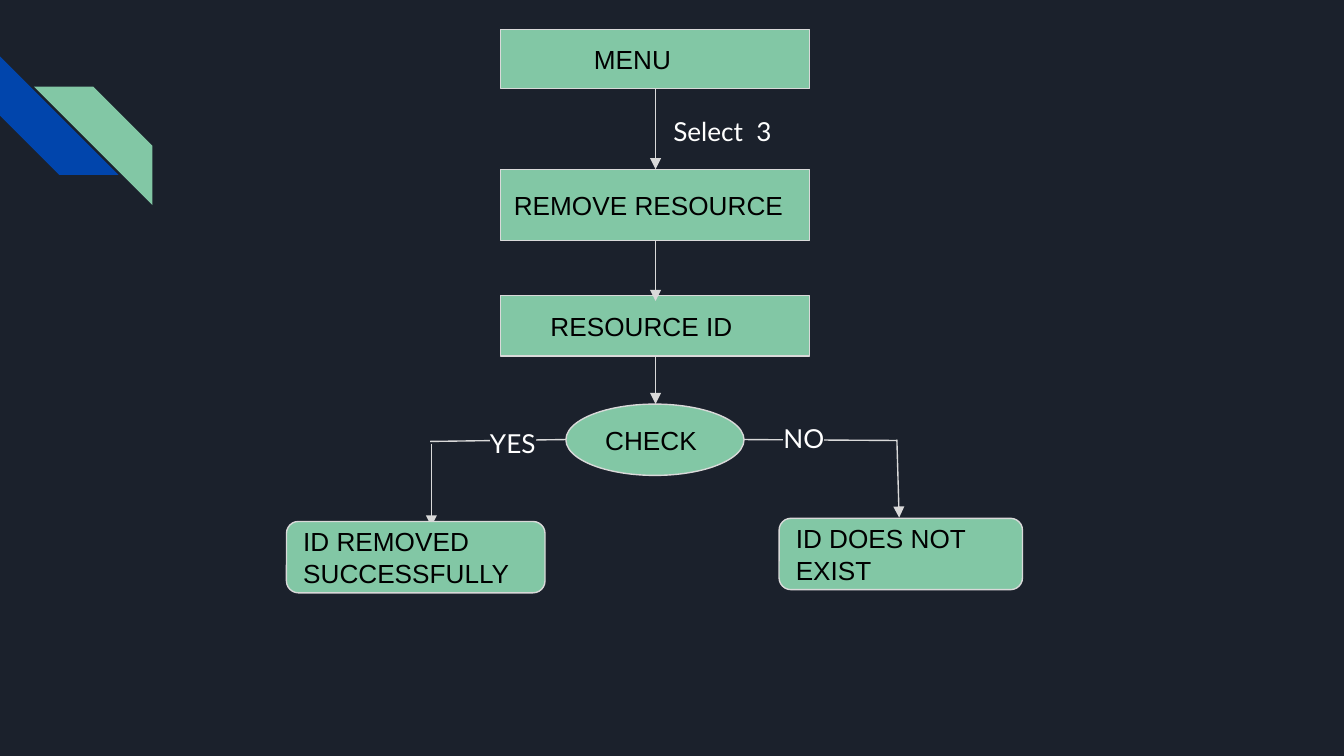
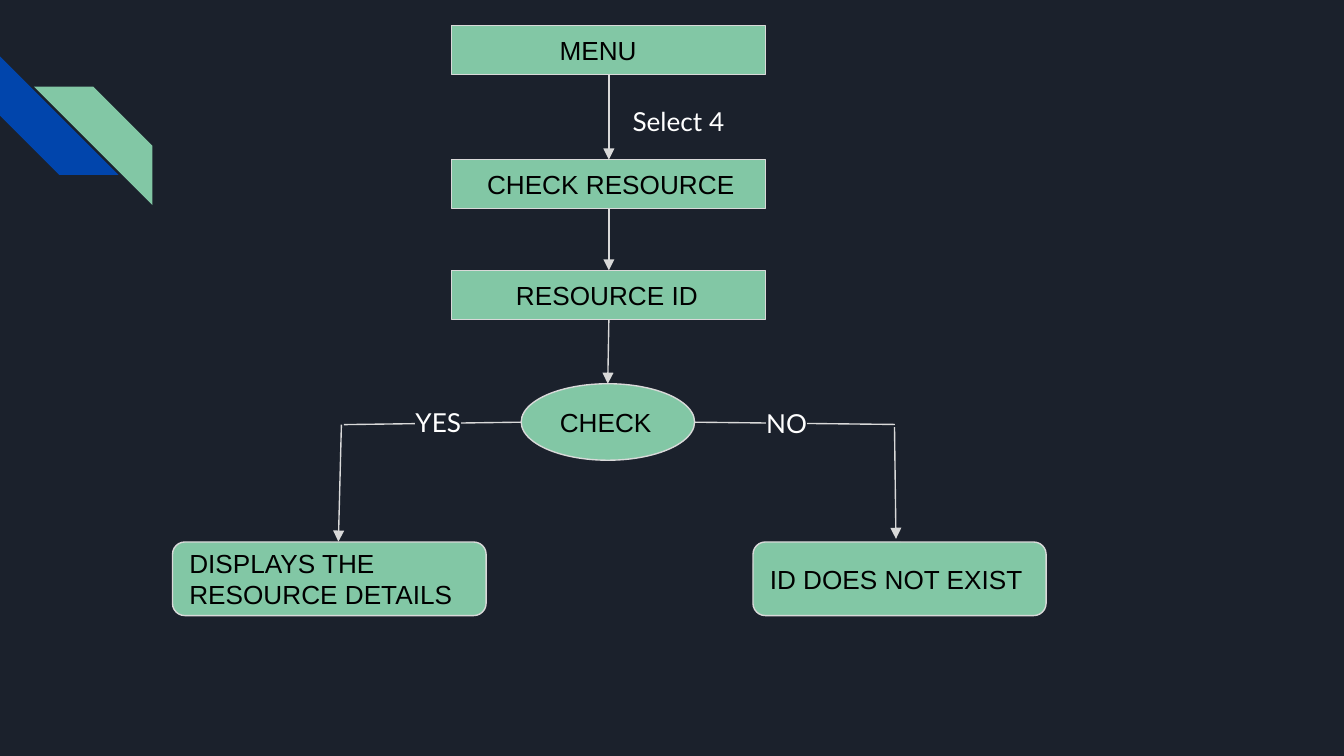
from lxml import etree
from pptx import Presentation
from pptx.dml.color import RGBColor
from pptx.enum import shapes, text
from pptx.oxml import ns
from pptx.util import Pt

NAVY = RGBColor(0x1B, 0x21, 0x2C)
BLUE = RGBColor(0x01, 0x45, 0xAC)
GREEN = RGBColor(0x82, 0xC7, 0xA5)
GREY = RGBColor(0xD9, 0xD9, 0xD9)
WHITE = RGBColor(0xFF, 0xFF, 0xFF)
BLACK = RGBColor(0, 0, 0)

RECT = shapes.MSO_SHAPE.RECTANGLE
OVAL = shapes.MSO_SHAPE.OVAL
ROUND = shapes.MSO_SHAPE.ROUNDED_RECTANGLE
INSET = 7.2

# Steps and outcomes: preset, text, left, top, width, height, text indent
# Lines: x1, y1, x2, y2, arrowhead
# Labels: text, left, top, width
FLOWS = [
    dict(
        steps=[
            (RECT, "MENU", 268.2, 15.8, 165.6, 31.7, 42.8),
            (RECT, "REMOVE RESOURCE", 268.2, 90.7, 165.6, 38.2, 0),
            (RECT, "RESOURCE ID", 268.2, 158.4, 165.6, 32.4, 19.5),
            (OVAL, "CHECK", 303.2, 216.5, 95.4, 38.2, 0),
        ],
        lines=[
            (351.2, 47.5, 351.2, 90.7, True),
            (351.2, 128.9, 351.2, 161.3, True),
            (351.2, 190.8, 351.2, 216.5, True),
            (303.2, 235.5, 230.4, 236.5, False),
            (231.1, 237.6, 231.1, 282, True),
            (398.6, 235.5, 480.5, 236, False),
            (480.5, 235.5, 481.7, 277.3, True),
        ],
        outcomes=[
            (ROUND, "ID REMOVED SUCCESSFULLY", 153.5, 279.4, 138.5, 38.2, 0),
            (ROUND, "ID DOES NOT EXIST", 417.4, 277.7, 130.4, 38.2, 0),
        ],
        labels=[
            ("Select  3", 353.6, 54.7, 368.6),
            ("YES", 255.4, 221.8, 368.6),
            ("NO", 412.6, 219.2, 279.4),
        ],
    ),
    dict(
        steps=[
            (RECT, "MENU", 242, 13.8, 168, 26.2, 50.6),
            (RECT, "CHECK RESOURCE", 242, 85.5, 168, 26.2, 11.7),
            (RECT, "RESOURCE ID", 242, 144.9, 168, 26.2, 27.2),
            (OVAL, "CHECK", 279.2, 205.6, 92.9, 41, 0),
        ],
        lines=[
            (326.2, 40, 326.2, 85.5, True),
            (326.2, 111.7, 326.2, 144.9, True),
            (326.2, 171.1, 325.6, 205.6, True),
            (279.2, 226.2, 184.2, 227.5, False),
            (182.9, 227.5, 181.3, 290.2, True),
            (372.1, 226.2, 479.4, 227.4, False),
            (479.2, 228.8, 480, 288.7, True),
        ],
        outcomes=[
            (ROUND, "DISPLAYS THE RESOURCE DETAILS", 92.4, 290.4, 168, 39.4, 0),
            (ROUND, "ID DOES NOT EXIST", 403.4, 290.4, 157, 39.4, 0),
        ],
        labels=[
            ("Select 4", 331.8, 49.2, 367.2),
            ("YES", 215.5, 210.4, 349.2),
            ("NO", 403.4, 211, 306.7),
        ],
    ),
]


def write(sp, words, font, color, indent=0):
    """Put one left-aligned paragraph in a shape and return its run."""
    tf = sp.text_frame
    tf.word_wrap = True
    tf.margin_left = Pt(INSET + indent)
    tf.margin_right = tf.margin_top = tf.margin_bottom = Pt(INSET)
    p = tf.paragraphs[0]
    p.alignment = text.PP_ALIGN.LEFT
    p.font.size = Pt(14)
    p.font.name = font
    p.font.color.rgb = color
    r = p.add_run()
    r.text = words
    return r


def add_box(s, preset, left, top, width, height, fill):
    """Add a preset shape with a plain fill and no line."""
    sp = s.shapes.add_shape(preset, Pt(left), Pt(top), Pt(width), Pt(height))
    sp.shadow.inherit = False
    sp.fill.solid()
    sp.fill.fore_color.rgb = fill
    sp.line.fill.background()
    return sp


prs = Presentation()
prs.slide_width, prs.slide_height = Pt(720), Pt(405)

# Shared background
bg = prs.slide_master.background.fill
bg.solid()
bg.fore_color.rgb = NAVY

for flow in FLOWS:
    s = prs.slides.add_slide(prs.slide_layouts[6])

    # Corner stripes
    for left, top, angle, fill in [(0, 30.2, 270, BLUE), (18.2, 46.4, 90, GREEN)]:
        sp = add_box(s, shapes.MSO_SHAPE.DIAGONAL_STRIPE, left, top, 63.5, 63.5, fill)
        sp.rotation = angle

    # Boxes, with the lines between the steps and the outcomes
    for part in ("steps", "lines", "outcomes"):
        if part == "lines":
            for x1, y1, x2, y2, arrow in flow["lines"]:
                c = s.shapes.add_connector(
                    shapes.MSO_CONNECTOR.STRAIGHT, Pt(x1), Pt(y1), Pt(x2), Pt(y2))
                c.line.color.rgb = GREY
                c.line.width = Pt(0.75)
                if arrow:
                    etree.SubElement(c.line._get_or_add_ln(), ns.qn("a:tailEnd"), type="triangle")
                etree.SubElement(c._element.spPr, ns.qn("a:effectLst"))
            continue
        for preset, words, left, top, width, height, indent in flow[part]:
            sp = add_box(s, preset, left, top, width, height, GREEN)
            sp.line.color.rgb = GREY
            sp.line.width = Pt(0.75)
            sp.text_frame.vertical_anchor = text.MSO_ANCHOR.MIDDLE
            write(sp, words, "Arial", BLACK, indent)

    # Labels, highlighted in the background colour to break the lines
    for words, left, top, width in flow["labels"]:
        sp = s.shapes.add_textbox(Pt(left), Pt(top), Pt(width), Pt(31.7))
        r = write(sp, words, "Lato", WHITE)
        sp.text_frame.auto_size = text.MSO_AUTO_SIZE.SHAPE_TO_FIT_TEXT
        hl = etree.SubElement(r._r.get_or_add_rPr(), ns.qn("a:highlight"))
        etree.SubElement(hl, ns.qn("a:srgbClr"), val=str(NAVY))

prs.save("out.pptx")
